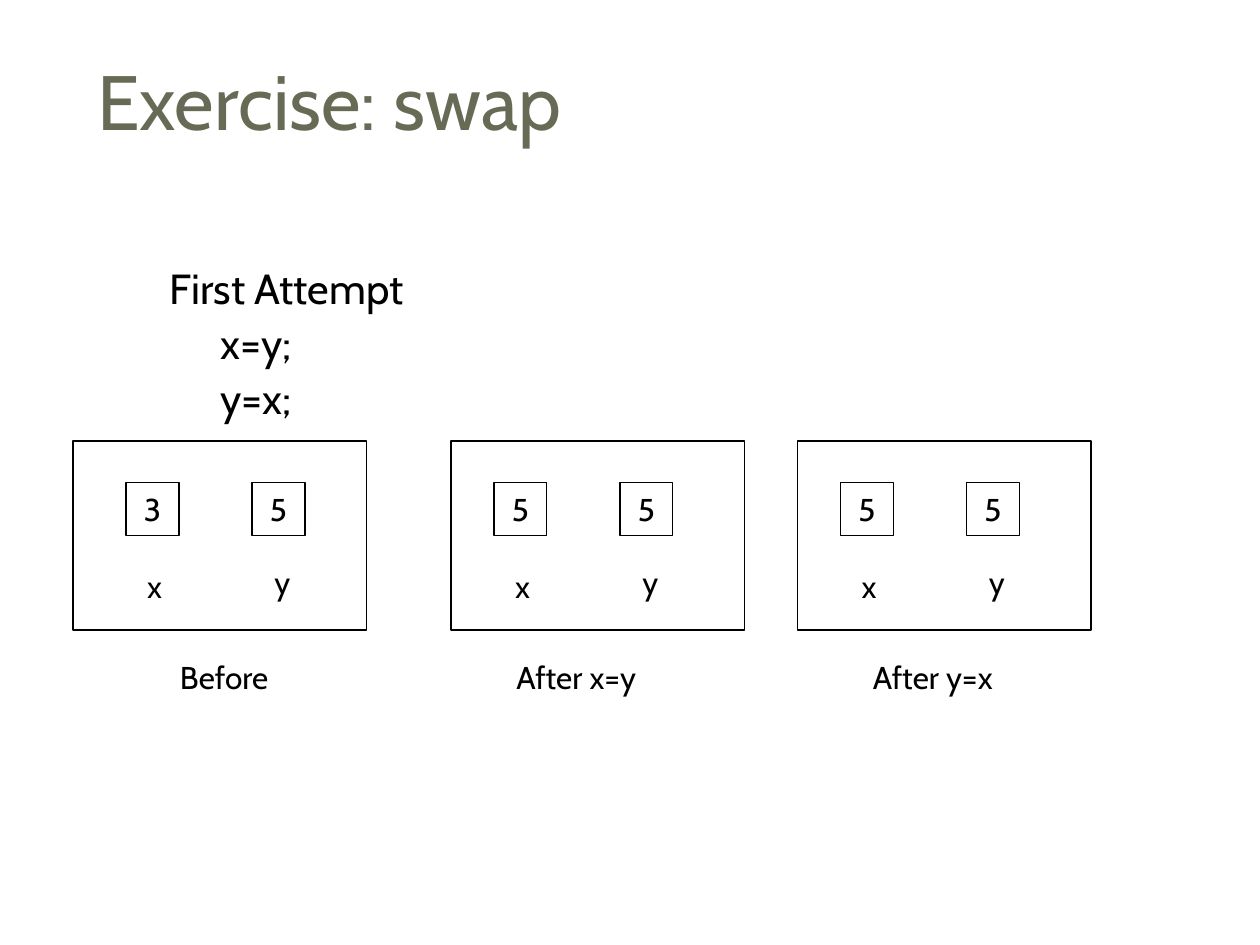
from pptx import Presentation
from pptx.dml.color import RGBColor
from pptx.enum.shapes import MSO_SHAPE as Shape
from pptx.enum.text import MSO_ANCHOR as Anchor, MSO_AUTO_SIZE as Fit, PP_ALIGN as Align
from pptx.util import Inches, Pt

FONT = "Cabin"
INK = "000000"
CELL = 0.42
STATES = [
    (0.58, 1, "3", "5", "Before", 1.33, 0.92),
    (3.58, 3.92, "5", "5", "After x=y", 4, 1.24),
    (6.33, 6.67, "5", "5", "After y=x", 6.83, 1.24),
]
STEPS = [("First Attempt", 0, 0.35, -0.35, 7),
         ("x=y;", 1, 0.7, -0.3, 5.5),
         ("y=x;", 1, 0.7, -0.3, 5.5)]


def color(code):
    return RGBColor.from_string(code)


def style(para, size, code=INK):
    for run in para.runs:
        run.font.name = FONT
        run.font.size = Pt(size)
        run.font.color.rgb = color(code)


def title(slide, text):
    head = slide.shapes.title
    head.left, head.top, head.width, head.height = map(Inches, (0.67, 0.25, 8.92, 1.08))
    frame = head.text_frame
    frame.text = text
    frame.vertical_anchor = Anchor.MIDDLE
    frame.paragraphs[0].alignment = Align.LEFT
    style(frame.paragraphs[0], 44, "676A55")


def steps(slide):
    box = slide.shapes.add_textbox(*map(Inches, (1.25, 2.08, 8.75, 1.42)))
    frame = box.text_frame
    frame.word_wrap = True
    for i, (text, level, left, hang, gap) in enumerate(STEPS):
        para = frame.add_paragraph() if i else frame.paragraphs[0]
        para.text = text
        para.level = level
        para.line_spacing = 0.9
        para.space_before = Pt(gap)
        props = para._p.get_or_add_pPr()
        props.set("marL", str(Inches(left)))
        props.set("indent", str(Inches(hang)))
        style(para, 24)


def rect(slide, left, top, width, height):
    box = slide.shapes.add_shape(Shape.RECTANGLE, *map(Inches, (left, top, width, height)))
    box.shadow.inherit = False
    box.fill.background()
    box.line.color.rgb = color(INK)
    box.line.width = Pt(0.75)
    return box


def cell(slide, left, value):
    frame = rect(slide, left, 3.83, CELL, CELL).text_frame
    frame.text = value
    frame.word_wrap = False
    frame.vertical_anchor = Anchor.MIDDLE
    frame.paragraphs[0].alignment = Align.CENTER
    style(frame.paragraphs[0], 18)


def label(slide, left, top, width, text):
    box = slide.shapes.add_textbox(*map(Inches, (left, top, width, 0.4)))
    frame = box.text_frame
    frame.text = text
    frame.word_wrap = False
    frame.auto_size = Fit.SHAPE_TO_FIT_TEXT
    style(frame.paragraphs[0], 18)


def state(slide, edge, left, x, y, name, start, width):
    cell(slide, left, x)
    cell(slide, left + 1, y)
    label(slide, left + 0.07, 4.45, 0.32, "x")
    label(slide, left + 1.08, 4.42, 0.33, "y")
    label(slide, start, 5.17, width, name)
    rect(slide, edge, 3.5, 2.33, 1.5)


def main():
    deck = Presentation()
    deck.slide_width, deck.slide_height = Inches(10), Inches(7.5)
    slide = deck.slides.add_slide(deck.slide_layouts[5])
    title(slide, "Exercise: swap")
    steps(slide)
    for item in STATES:
        state(slide, *item)
    deck.save("out.pptx")


if __name__ == "__main__":
    main()
